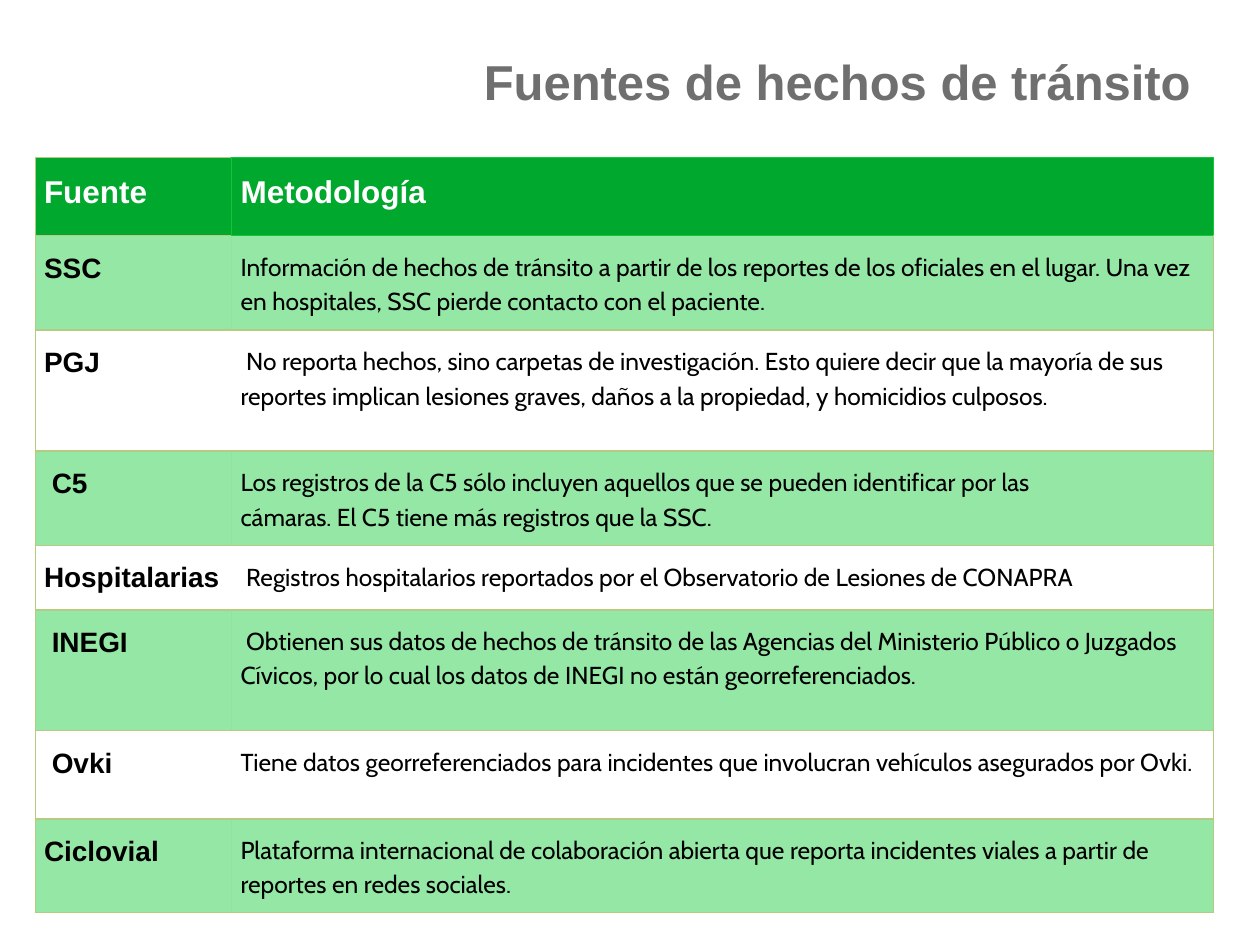
from pptx import Presentation
from pptx.dml.color import RGBColor
from pptx.enum.text import MSO_ANCHOR, PP_ALIGN
from pptx.oxml.ns import qn
from pptx.util import Inches, Pt
from lxml import etree

RIGHT = PP_ALIGN.RIGHT
TOP = MSO_ANCHOR.TOP
MIDDLE = MSO_ANCHOR.MIDDLE
GREEN, BRIGHT, OLIVE = "00A82D", "0DC932", "B3CC82"
WHITE, BLACK, GRAY = "FFFFFF", "000000", "706F6F"
HEAD, BODY = "Arial", "Cabin"

COLS = [1.56, 7.79]
ROWS = [
    (0.62, "Fuente", ["Metodología"]),
    (0.75, "SSC", ["Información de hechos de tránsito a partir de los reportes de los oficiales en el lugar. Una vez en hospitales, SSC pierde contacto con el paciente."]),
    (0.96, "PGJ", [" No reporta hechos, sino carpetas de investigación. Esto quiere decir que la mayoría de sus reportes implican lesiones graves, daños a la propiedad, y homicidios culposos."]),
    (0.75, " C5", ["Los registros de la C5 sólo incluyen aquellos que se pueden identificar por las",
                   "cámaras. El C5 tiene más registros que la SSC."]),
    (0.51, "Hospitalarias", [" Registros hospitalarios reportados por el Observatorio de Lesiones de CONAPRA"]),
    (0.96, " INEGI", [" Obtienen sus datos de hechos de tránsito de las Agencias del Ministerio Público o Juzgados Cívicos, por lo cual los datos de INEGI no están georreferenciados."]),
    (0.7, " Ovki", ["Tiene datos georreferenciados para incidentes que involucran vehículos asegurados por Ovki."]),
    (0.7, "Ciclovial", ["Plataforma internacional de colaboración abierta que reporta incidentes viales a partir de reportes en redes sociales."]),
]


def color(code):
    return RGBColor.from_string(code)


class Deck:
    def __init__(self):
        self.prs = Presentation()
        self.prs.slide_width = Inches(10)
        self.prs.slide_height = Inches(7.5)
        self.slide = self.prs.slides.add_slide(self.prs.slide_layouts[5])

    def run(self, para, text, size, font, code, bold):
        run = para.add_run()
        run.text = text
        run.font.size = Pt(size)
        run.font.name = font
        run.font.bold = bold
        run.font.color.rgb = color(code)

    def title(self, text, left, top, width, height):
        shape = self.slide.shapes.title
        shape.left, shape.top = Inches(left), Inches(top)
        shape.width, shape.height = Inches(width), Inches(height)
        frame = shape.text_frame
        frame.word_wrap = True
        frame.vertical_anchor = MIDDLE
        frame.margin_left = frame.margin_right = Inches(0.05)
        frame.margin_top = frame.margin_bottom = Inches(0.05)
        para = frame.paragraphs[0]
        para.alignment = RIGHT
        self.run(para, text, 28, HEAD, GRAY, True)

    def edges(self, cell, sides):
        props = cell._tc.get_or_add_tcPr()
        for spot, side in enumerate("LRTB"):
            line = etree.Element(qn("a:ln" + side))
            if side in sides:
                code, width = sides[side]
                line.set("w", str(Pt(width)))
                fill = etree.SubElement(line, qn("a:solidFill"))
                etree.SubElement(fill, qn("a:srgbClr"), val=code)
            else:
                etree.SubElement(line, qn("a:noFill"))
            props.insert(spot, line)

    def paint(self, cell, code, alpha=100):
        cell.fill.solid()
        cell.fill.fore_color.rgb = color(code)
        if alpha < 100:
            tint = next(cell._tc.tcPr.iter(qn("a:srgbClr")))
            etree.SubElement(tint, qn("a:alpha"), val=str(alpha * 1000))

    def cell(self, cell, lines, *style):
        cell.margin_left = cell.margin_right = Inches(0.07)
        cell.margin_top = cell.margin_bottom = Inches(0.1)
        cell.vertical_anchor = TOP
        frame = cell.text_frame
        for spot, text in enumerate(lines):
            para = frame.add_paragraph() if spot else frame.paragraphs[0]
            para.line_spacing = 1.15
            self.run(para, text, *style)

    def table(self, rows, cols, left, top):
        high = sum(row[0] for row in rows)
        table = self.slide.shapes.add_table(
            len(rows), len(cols), Inches(left), Inches(top),
            Inches(sum(cols)), Inches(high)).table
        table.horz_banding = False
        table.first_row = False
        for col, width in zip(table.columns, cols):
            col.width = Inches(width)
        for r, (height, name, lines) in enumerate(rows):
            table.rows[r].height = Inches(height)
            pair = table.cell(r, 0), table.cell(r, 1)
            if r == 0:
                self.cell(pair[0], [name], 18, HEAD, WHITE, True)
                self.cell(pair[1], lines, 18, HEAD, WHITE, True)
            else:
                self.cell(pair[0], [name], 16, HEAD, BLACK, True)
                self.cell(pair[1], lines, 14, BODY, BLACK, False)
            for c, cell in enumerate(pair):
                if r == 0:
                    self.paint(cell, GREEN)
                elif r % 2:
                    self.paint(cell, BRIGHT, 44)
                else:
                    cell.fill.background()
                line = (BRIGHT if r == 0 and c else OLIVE, 1)
                over = (BRIGHT if r < 2 and c else OLIVE, 1)
                sides = {"T": over, "B": line, "R" if c else "L": line}
                if r == 0:
                    sides["L" if c else "R"] = (BRIGHT, 0.75)
                self.edges(cell, sides)

    def save(self):
        self.prs.save("out.pptx")


def main():
    deck = Deck()
    deck.title("Fuentes de hechos de tránsito", 2.97, 0.3, 6.53, 0.68)
    deck.table(ROWS, COLS, 0.28, 1.25)
    deck.save()


if __name__ == "__main__":
    main()
